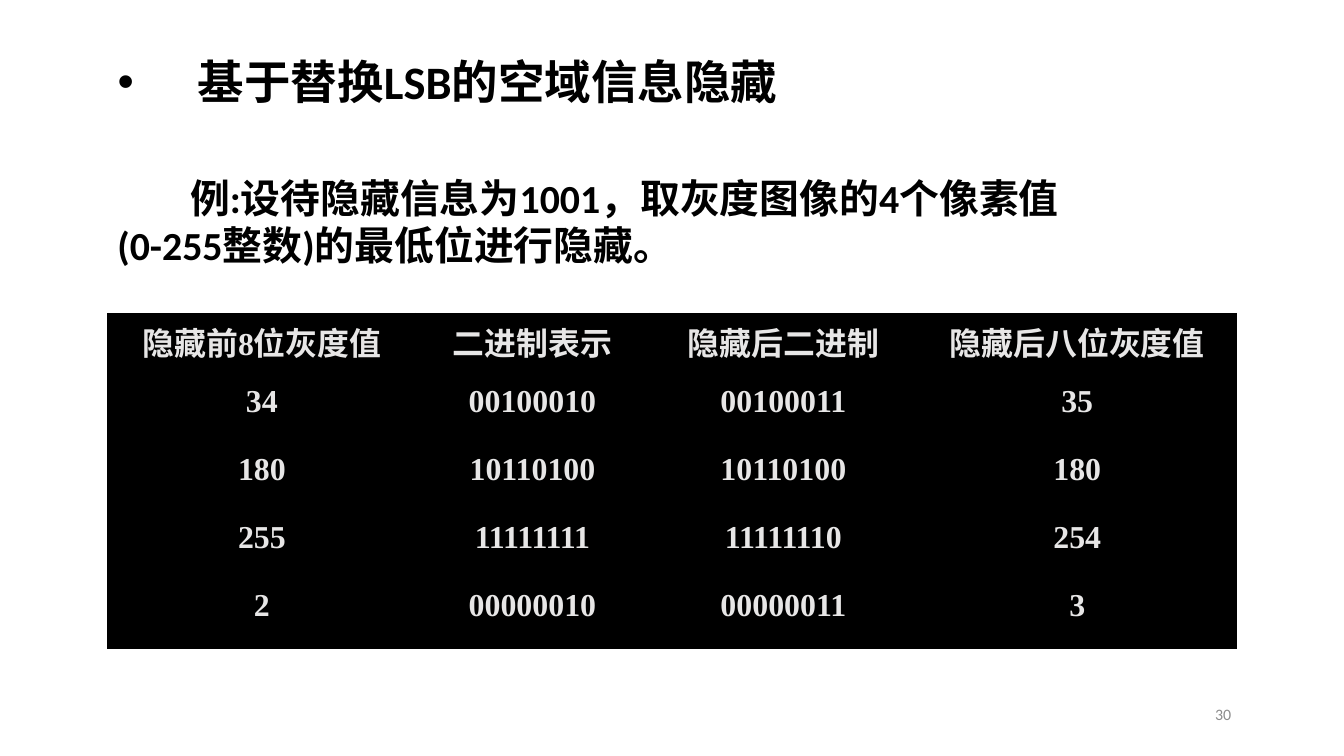
from dataclasses import dataclass

from lxml import etree
from pptx import Presentation
from pptx.dml.color import RGBColor
from pptx.enum.text import MSO_ANCHOR, MSO_AUTO_SIZE, PP_ALIGN
from pptx.oxml.ns import qn
from pptx.util import Inches, Pt

LEFT, CENTER, RIGHT = PP_ALIGN.LEFT, PP_ALIGN.CENTER, PP_ALIGN.RIGHT
TOP, MIDDLE = MSO_ANCHOR.TOP, MSO_ANCHOR.MIDDLE
NO_AUTOFIT = MSO_AUTO_SIZE.NONE


@dataclass(frozen=True)
class Theme:
    black: str = "000000"
    cell_text: str = "E7E6E6"
    gray: str = "8C8C8C"
    latin: str = "Calibri"
    table_latin: str = "Times New Roman"
    cjk: str = "Noto Sans CJK SC"
    heading: int = 35
    body: int = 30
    cell: int = 24
    number: int = 12


THEME = Theme()
HEADING = "基于替换LSB的空域信息隐藏"
EXAMPLE = ["例:设待隐藏信息为1001，取灰度图像的4个像素值", "(0-255整数)的最低位进行隐藏。"]
ROWS = [
    ["隐藏前8位灰度值", "二进制表示", "隐藏后二进制", "隐藏后八位灰度值"],
    ["34", "00100010", "00100011", "35"],
    ["180", "10110100", "10110100", "180"],
    ["255", "11111111", "11111110", "254"],
    ["2", "00000010", "00000011", "3"],
]
COL_WIDTHS = [3.22, 2.44, 2.81, 3.34]
ROW_HEIGHTS = [0.69, 0.71, 0.71, 0.71, 0.69]


def format_paragraph(p, size, color, latin=THEME.latin, bold=True, align=LEFT):
    p.alignment = align
    for r in p.runs:
        r.font.size = Pt(size)
        r.font.bold = bold
        r.font.name = latin
        r.font.color.rgb = RGBColor.from_string(color)
        ea = etree.SubElement(r.font._element, qn("a:ea"))
        ea.set("typeface", THEME.cjk)


def indent(p, left, first):
    pPr = p._p.get_or_add_pPr()
    pPr.set("marL", str(Inches(left)))
    pPr.set("indent", str(Inches(first)))
    return pPr


def add_heading(s, x, y, w, h):
    title = s.shapes.title
    title.left, title.top, title.width, title.height = map(Inches, (x, y, w, h))
    tf = title.text_frame
    tf.text = HEADING
    tf.word_wrap = True
    tf.auto_size = NO_AUTOFIT
    tf.vertical_anchor = TOP
    p = tf.paragraphs[0]
    format_paragraph(p, THEME.heading, THEME.black)
    p.line_spacing = 0.9
    pPr = indent(p, 0.84, -0.84)
    etree.SubElement(pPr, qn("a:buFont")).set("typeface", "Arial")
    etree.SubElement(pPr, qn("a:buChar")).set("char", "•")


def add_example(s, x, y, w, h):
    tf = s.shapes.add_textbox(*map(Inches, (x, y, w, h))).text_frame
    tf.word_wrap = True
    tf.text = "\n".join(EXAMPLE)
    for p in tf.paragraphs:
        format_paragraph(p, THEME.body, THEME.black)
        p.line_spacing = 0.9
        p.space_after = Pt(3)
    indent(tf.paragraphs[0], 0, 0.76)


def add_borders(cell):
    tcPr = cell._tc.get_or_add_tcPr()
    for side in ("lnL", "lnR", "lnT", "lnB"):
        ln = etree.SubElement(tcPr, qn(f"a:{side}"), w=str(Pt(1)))
        fill = etree.SubElement(ln, qn("a:solidFill"))
        etree.SubElement(fill, qn("a:srgbClr"), val=THEME.black)


def add_pixel_table(s, x, y, w, h):
    frame = s.shapes.add_table(len(ROWS), len(COL_WIDTHS), *map(Inches, (x, y, w, h)))
    table = frame.table
    for col, width in zip(table.columns, COL_WIDTHS):
        col.width = Inches(width)
    for row, height, values in zip(table.rows, ROW_HEIGHTS, ROWS):
        row.height = Inches(height)
        for cell, value in zip(row.cells, values):
            add_borders(cell)
            cell.fill.solid()
            cell.fill.fore_color.rgb = RGBColor.from_string(THEME.black)
            cell.margin_left = cell.margin_right = Inches(0.14)
            cell.margin_top = cell.margin_bottom = Inches(0.05)
            cell.text_frame.text = value
            format_paragraph(cell.text_frame.paragraphs[0], THEME.cell, THEME.cell_text,
                             THEME.table_latin, align=CENTER)


def add_slide_number(s, x, y, w, h):
    tf = s.shapes.add_textbox(*map(Inches, (x, y, w, h))).text_frame
    tf.word_wrap = True
    tf.vertical_anchor = MIDDLE
    tf.margin_left = tf.margin_right = Inches(0.13)
    tf.text = "30"
    format_paragraph(tf.paragraphs[0], THEME.number, THEME.gray, bold=False, align=RIGHT)


def main():
    prs = Presentation()
    prs.slide_width, prs.slide_height = Inches(14.06), Inches(7.91)
    s = prs.slides.add_slide(prs.slide_layouts[5])
    add_heading(s, 1.13, 0.57, 12.12, 0.8)
    add_example(s, 1.13, 1.82, 12.12, 1.3)
    add_pixel_table(s, 1.13, 3.28, sum(COL_WIDTHS), sum(ROW_HEIGHTS))
    add_slide_number(s, 10.08, 7.21, 2.93, 0.53)
    prs.save("out.pptx")


if __name__ == "__main__":
    main()
